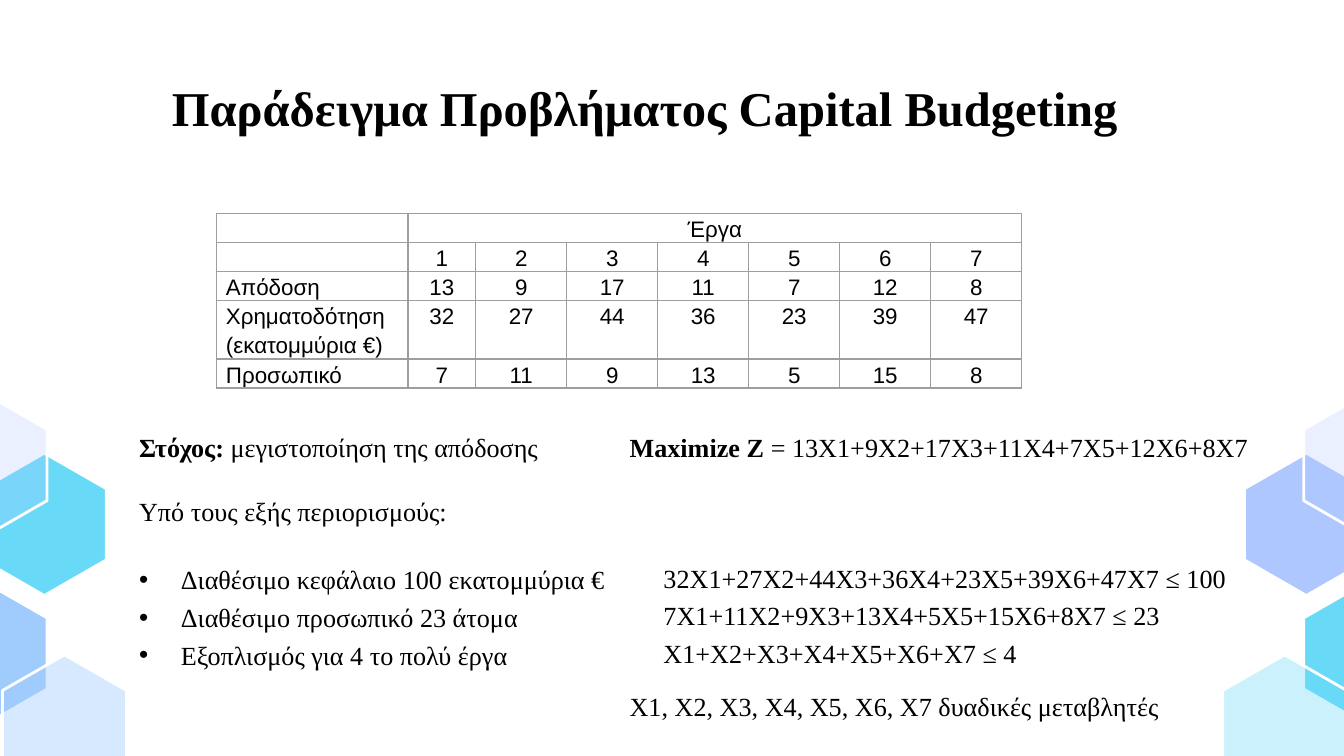
import pptx
import pptx.util
import pptx.dml.color
import pptx.enum.text
import pptx.oxml.ns
from lxml import etree

Cm = pptx.util.Cm
Pt = pptx.util.Pt
qn = pptx.oxml.ns.qn
ALIGN = pptx.enum.text.PP_ALIGN
ANCHOR = pptx.enum.text.MSO_ANCHOR
SERIF = "Times New Roman"
SANS = "Arial"
INK = "000000"


def tint(code):
    return pptx.dml.color.RGBColor.from_string(code)


class Page:
    """Holds the style and the current slide."""

    def __init__(self, deck):
        self.slide = deck.slides.add_slide(deck.slide_layouts[5])
        self.shapes = self.slide.shapes

    def run(self, para, text, size, font, bold=False):
        run = para.add_run()
        run.text = text
        run.font.size = Pt(size)
        run.font.name = font
        run.font.bold = bold
        run.font.color.rgb = tint(INK)

    def hexagon(self, left, top, color, alpha=100):
        wide, high = 2.34, 2.69
        spots = [(0.5, 0), (1, 0.25), (1, 0.75), (0.5, 1), (0, 0.75), (0, 0.25)]
        points = [(Cm(left + wide * x), Cm(top + high * y)) for x, y in spots]
        path = self.shapes.build_freeform(*points[0], scale=1.0)
        path.add_line_segments(points[1:], close=True)
        shape = path.convert_to_shape()
        shape.shadow.inherit = False
        shape.fill.solid()
        shape.fill.fore_color.rgb = tint(color)
        shape.line.color.rgb = tint("FFFFFF")
        shape.line.width = Pt(1.5)
        if alpha < 100:
            paint = shape.fill._xPr.find(qn("a:solidFill"))[0]
            etree.SubElement(paint, qn("a:alpha"), val=str(alpha * 1000))

    def title(self, text):
        shape = self.shapes.title
        shape.left, shape.top = Cm(1.5), Cm(1.22)
        shape.width, shape.height = Cm(21.4), Cm(1.6)
        frame = shape.text_frame
        frame.word_wrap = True
        frame.vertical_anchor = ANCHOR.MIDDLE
        para = frame.paragraphs[0]
        para.alignment = ALIGN.CENTER
        self.run(para, text, 26, SERIF, True)

    def border(self, cell):
        props = cell._tc.get_or_add_tcPr()
        for place, side in enumerate(("lnL", "lnR", "lnT", "lnB")):
            line = etree.Element(qn("a:" + side), w=str(Pt(0.75)))
            fill = etree.SubElement(line, qn("a:solidFill"))
            etree.SubElement(fill, qn("a:srgbClr"), val="9E9E9E")
            props.insert(place, line)

    def table(self, left, top, cols, rows, data):
        frame = self.shapes.add_table(
            len(rows), len(cols), Cm(left), Cm(top), Cm(sum(cols)), Cm(sum(rows)))
        grid = frame.table
        grid.first_row = grid.horz_banding = False
        for col, wide in zip(grid.columns, cols):
            col.width = Cm(wide)
        for row, high in zip(grid.rows, rows):
            row.height = Cm(high)
        for r, line in enumerate(data):
            for c, text in enumerate(line):
                cell = grid.cell(r, c)
                cell.fill.background()
                cell.margin_left = cell.margin_right = Cm(0.18)
                cell.margin_top = cell.margin_bottom = 0
                para = cell.text_frame.paragraphs[0]
                para.line_spacing = 1.15
                para.alignment = ALIGN.CENTER if c else ALIGN.LEFT
                if text:
                    self.run(para, text, 12, SANS)
                etree.SubElement(para._p, qn("a:endParaRPr"), sz="1200")
                self.border(cell)
        grid.cell(0, 1).merge(grid.cell(0, len(cols) - 1))

    def text(self, left, top, wide, high, paras):
        box = self.shapes.add_textbox(Cm(left), Cm(top), Cm(wide), Cm(high))
        frame = box.text_frame
        frame.word_wrap = True
        for n, (runs, look) in enumerate(paras):
            para = frame.add_paragraph() if n else frame.paragraphs[0]
            para.line_spacing = look.get("lead", 1.0)
            para.space_before = Pt(look.get("gap", 0))
            props = para._p.get_or_add_pPr()
            if "indent" in look:
                props.set("marL", str(Cm(look["indent"])))
            if look.get("dot"):
                props.set("indent", str(-Cm(look["indent"])))
                etree.SubElement(props, qn("a:buFont"), typeface=SANS)
                etree.SubElement(props, qn("a:buChar"), char="•")
            for words, bold in runs:
                self.run(para, words, 14, SERIF, bold)


def main():
    deck = pptx.Presentation()
    deck.slide_width, deck.slide_height = Cm(25.4), Cm(14.28)
    page = Page(deck)

    sides = [
        (0, "68DAF8", "9FCBFD", "9FCBFD", 41, (-0.33, -1.45, 0.05)),
        (1, "AFC7FF", "68DAF8", "68DAF8", 34, (23.52, 24.64, 23.11)),
    ]
    for _, upper, lower, base, alpha, (near, far, foot) in sides:
        page.hexagon(near, 8.56, upper)
        page.hexagon(far, 7.44, "AFC7FF", 25)
        page.hexagon(far, 11, lower)
        page.hexagon(foot, 12.37, base, alpha)

    page.title("Παράδειγμα Προβλήματος Capital Budgeting")

    data = [
        ["", "Έργα"] + [""] * 6,
        [""] + [str(n) for n in range(1, 8)],
        ["Απόδοση", "13", "9", "17", "11", "7", "12", "8"],
        ["Χρηματοδότηση (εκατομμύρια €)", "32", "27", "44", "36", "23", "39", "47"],
        ["Προσωπικό", "7", "11", "9", "13", "5", "15", "8"],
    ]
    cols = [3.62, 1.28] + [1.72] * 6
    rows = [0.55, 0.55, 0.55, 1.1, 0.55]
    page.table(4.09, 4.03, cols, rows, data)

    item = {"lead": 1.2, "indent": 0.79, "dot": True}
    page.text(2.38, 8.02, 9.4, 5, [
        ([("Στόχος: ", True), ("μεγιστοποίηση της απόδοσης", False)], {}),
        ([("Υπό τους εξής περιορισμούς:", False)], {"gap": 17.5}),
        ([("Διαθέσιμο κεφάλαιο 100 εκατομμύρια €", False)], {**item, "gap": 16.5}),
        ([("Διαθέσιμο προσωπικό 23 άτομα", False)], item),
        ([("Εξοπλισμός για 4 το πολύ έργα", False)], item),
    ])

    rule = {"lead": 1.2, "indent": 0.64}
    page.text(11.65, 8.02, 12.6, 5.6, [
        ([("Maximize Z ", True), ("= 13X1+9X2+17X3+11X4+7X5+12X6+8X7", False)], {}),
        ([("32X1+27X2+44X3+36X4+23X5+39X6+47X7 ≤ 100", False)], {**rule, "gap": 50}),
        ([("7X1+11X2+9X3+13X4+5X5+15X6+8X7 ≤ 23", False)], rule),
        ([("X1+X2+X3+X4+X5+X6+X7 ≤ 4", False)], rule),
        ([("Χ1, Χ2, Χ3, Χ4, Χ5, Χ6, Χ7 δυαδικές μεταβλητές", False)],
         {"lead": 1.2, "gap": 8}),
    ])
    deck.save("out.pptx")


if __name__ == "__main__":
    main()
